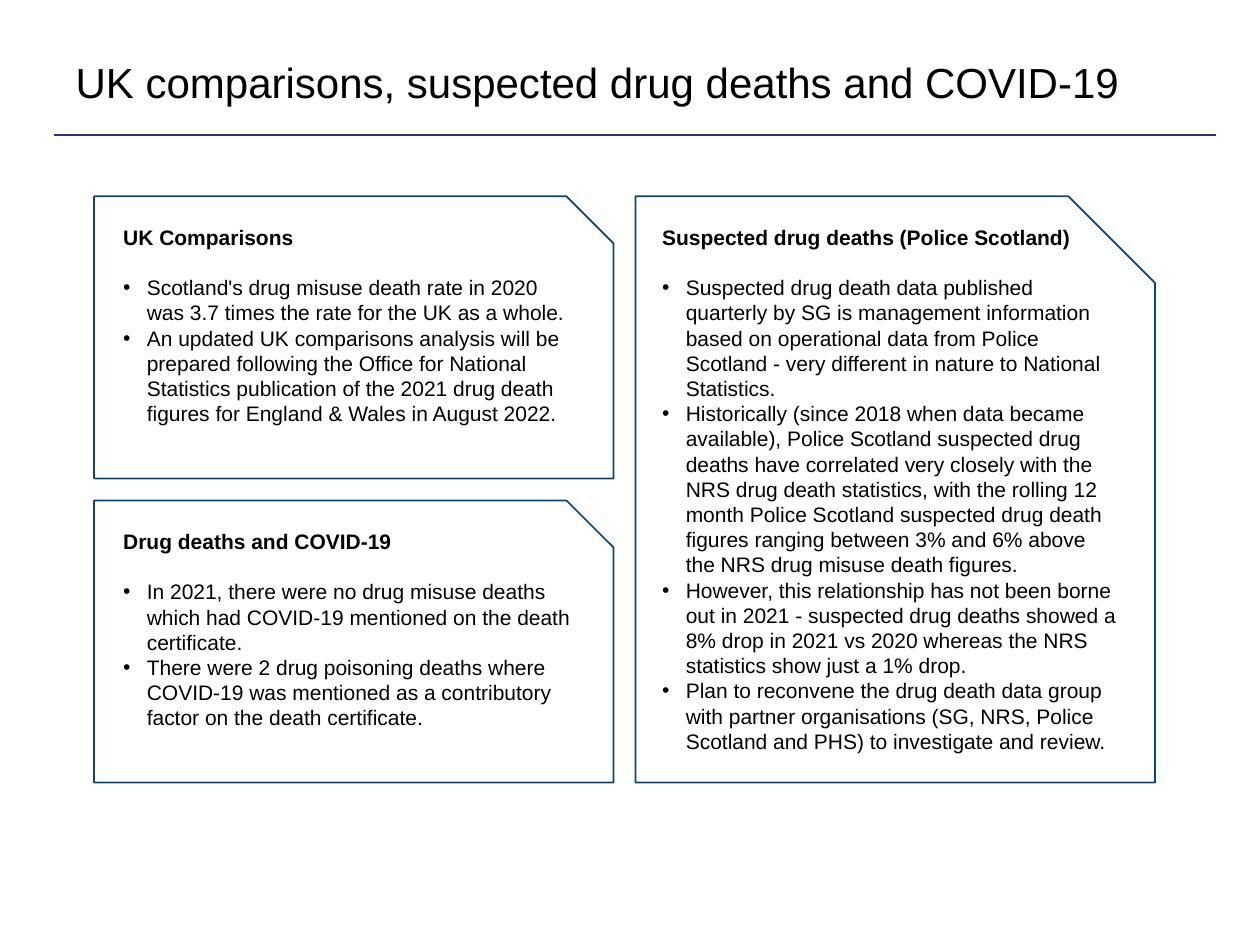
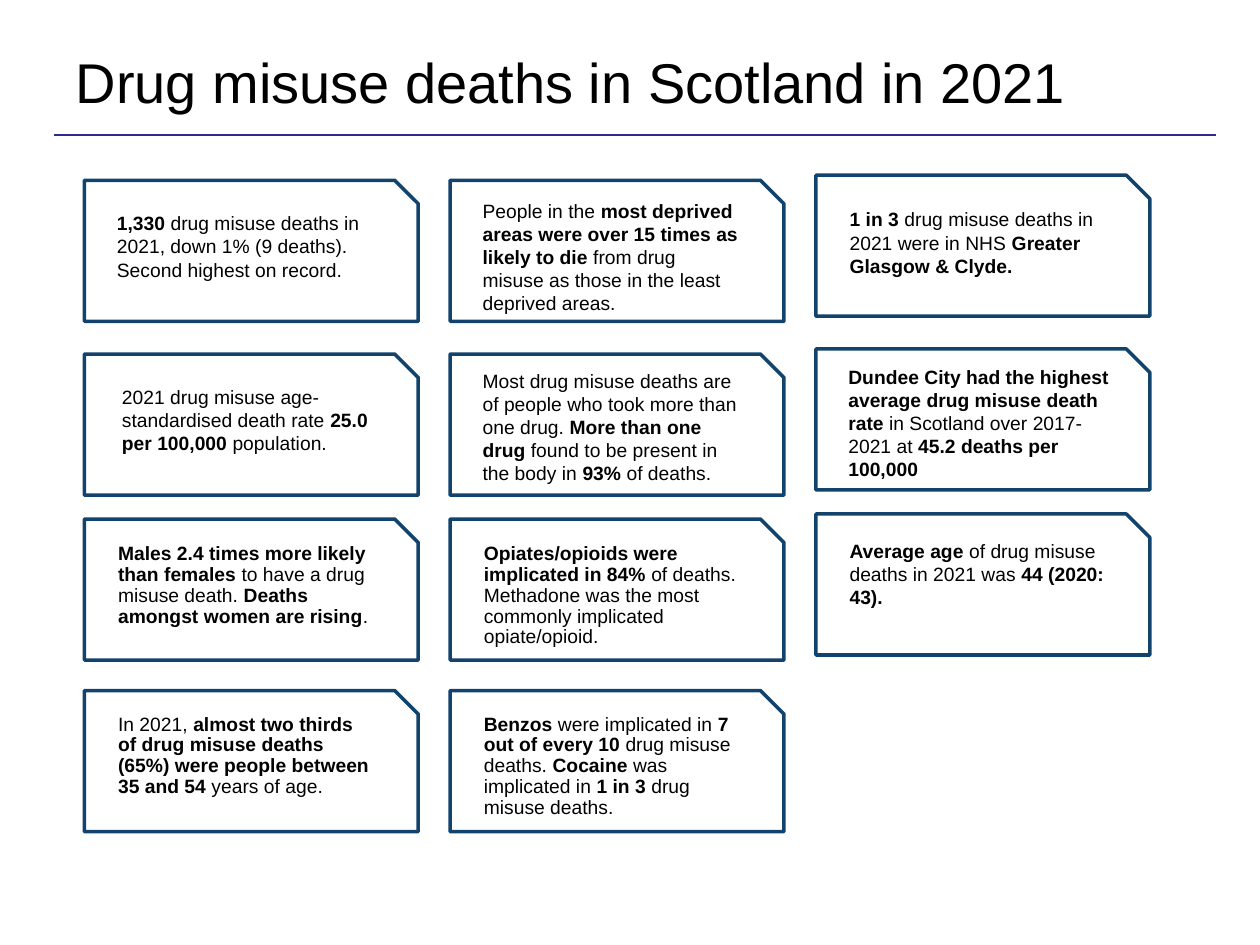
from dataclasses import dataclass

from lxml.etree import SubElement
from pptx import Presentation
from pptx.dml.color import RGBColor
from pptx.enum.shapes import MSO_CONNECTOR, MSO_SHAPE
from pptx.enum.text import MSO_ANCHOR, MSO_AUTO_SIZE, PP_ALIGN
from pptx.oxml.ns import qn
from pptx.util import Pt


@dataclass(frozen=True)
class Theme:
    font: str = "Arial"
    ink: RGBColor = RGBColor(0x00, 0x00, 0x00)
    rule: RGBColor = RGBColor(0x2D, 0x2D, 0x8A)
    outline: RGBColor = RGBColor(0x12, 0x43, 0x6D)
    long_title: int = 24
    short_title: int = 32
    panel_text: int = 12
    card_text: int = 11


class DeckBuilder:
    """Holds the theme and the page being built."""

    def __init__(self, theme):
        self.theme = theme
        self.deck = Presentation()
        self.deck.slide_width, self.deck.slide_height = Pt(720), Pt(540)
        self.page = None

    def add_page(self, layout_name, title, size):
        layout = self.deck.slide_layouts.get_by_name(layout_name)
        self.page = self.deck.slides.add_slide(layout)
        box = self.page.shapes.title
        self.place(box, 36, 21.6, 648, 49.7)
        frame = self.prepare(box, MSO_ANCHOR.MIDDLE)
        frame.text = title
        frame.paragraphs[0].alignment = PP_ALIGN.LEFT
        self.style(frame.paragraphs[0], size)
        self.rule(31, 695, 77)

    def place(self, box, left, top, width, height):
        box.left, box.top = Pt(left), Pt(top)
        box.width, box.height = Pt(width), Pt(height)

    def prepare(self, box, anchor=MSO_ANCHOR.TOP):
        frame = box.text_frame
        frame.word_wrap = True
        frame.auto_size = MSO_AUTO_SIZE.NONE
        frame.vertical_anchor = anchor
        return frame

    def style(self, para, size, bold=None):
        font = para.font
        font.name, font.size, font.bold = self.theme.font, Pt(size), bold
        font.color.rgb = self.theme.ink

    def rule(self, left, right, top):
        line = self.page.shapes.add_connector(
            MSO_CONNECTOR.STRAIGHT, Pt(left), Pt(top), Pt(right), Pt(top))
        line.line.color.rgb = self.theme.rule
        line.line.width = Pt(1)
        SubElement(line._element.spPr, qn("a:effectLst"))

    def snipped_frame(self, left, top, width, height, weight):
        box = self.page.shapes.add_shape(
            MSO_SHAPE.SNIP_1_RECTANGLE, Pt(left), Pt(top), Pt(width), Pt(height))
        box.shadow.inherit = False
        box.fill.background()
        box.line.color.rgb = self.theme.outline
        box.line.width = Pt(weight)

    def bullet(self, para, symbol, indent):
        properties = para._p.get_or_add_pPr()
        properties.set("marL", str(Pt(indent)))
        properties.set("indent", str(-Pt(indent)))
        if symbol:
            SubElement(properties, qn("a:buFont"), typeface=self.theme.font)
            SubElement(properties, qn("a:buChar"), char=symbol)
        else:
            SubElement(properties, qn("a:buNone"))

    def list_panel(self, index, left, top, width, height, heading, points):
        """Fill a body placeholder with a bold heading and a bulleted list."""
        box = self.page.placeholders[index]
        self.place(box, left, top, width, height)
        frame = self.prepare(box)
        frame.text = "\n".join([heading, *points])
        for number, para in enumerate(frame.paragraphs):
            is_heading = number == 0
            para.space_before = Pt(0)
            para.space_after = Pt(14.4 if is_heading else 0)
            self.bullet(para, None if is_heading else "•", 0 if is_heading else 13.5)
            self.style(para, self.theme.panel_text, is_heading)

    def marked_text(self, left, top, width, height, text, spacing):
        """Add a text box; words between double asterisks are bold."""
        box = self.page.shapes.add_textbox(Pt(left), Pt(top), Pt(width), Pt(height))
        para = self.prepare(box).paragraphs[0]
        para.line_spacing = spacing
        self.style(para, self.theme.card_text)
        for number, words in enumerate(text.split("**")):
            if words:
                span = para.add_run()
                span.text = words
                span.font.bold = number % 2 == 1

    def remove_empty_placeholders(self):
        for box in list(self.page.placeholders):
            if not box.text_frame.text:
                box._element.getparent().remove(box._element)


# Panels: column, row, rows spanned, text inset, heading, points
PANELS = [
    (0, 0, 1, 9.4, "UK Comparisons", [
        "Scotland's drug misuse death rate in 2020 was 3.7 times the rate for the UK "
        "as a whole.",
        "An updated UK comparisons analysis will be prepared following the Office for "
        "National Statistics publication of the 2021 drug death figures for England & "
        "Wales in August 2022."]),
    (0, 1, 1, 9.4, "Drug deaths and COVID-19", [
        "In 2021, there were no drug misuse deaths which had COVID-19 mentioned on the "
        "death certificate.",
        "There were 2 drug poisoning deaths where COVID-19 was mentioned as a "
        "contributory factor on the death certificate."]),
    (1, 0, 2, 8, "Suspected drug deaths (Police Scotland)", [
        "Suspected drug death data published quarterly by SG is management information "
        "based on operational data from Police Scotland - very different in nature to "
        "National Statistics.",
        "Historically (since 2018 when data became available), Police Scotland suspected "
        "drug deaths have correlated very closely with the NRS drug death statistics, "
        "with the rolling 12 month Police Scotland suspected drug death figures ranging "
        "between 3% and 6% above the NRS drug misuse death figures.",
        "However, this relationship has not been borne out in 2021 - suspected drug "
        "deaths showed a 8% drop in 2021 vs 2020 whereas the NRS statistics show just a "
        "1% drop.",
        "Plan to reconvene the drug death data group with partner organisations (SG, "
        "NRS, Police Scotland and PHS) to investigate and review."]),
]

# Cards: column, row, text offset across and down, text width, line spacing, text
CARDS = [
    (0, 0, 11.5, 14.4, 162, 1, "**1,330** drug misuse deaths in 2021, down 1% "
     "(9 deaths). Second highest on record."),
    (0, 1, 14.4, 14.4, 162, 1, "2021 drug misuse age-standardised death rate "
     "**25.0 per 100,000** population."),
    (0, 2, 12.2, 10.8, 161, 0.9, "**Males 2.4 times more likely than females **to have "
     "a drug misuse death. **Deaths amongst women are rising**."),
    (0, 3, 12.2, 10.1, 161, 0.9, "In 2021, **almost two thirds of drug misuse deaths "
     "(65%) were people between 35 and 54 **years of age."),
    (1, 0, 11.5, 7.2, 162, 1, "People in the **most deprived areas were over 15 times "
     "as likely to die **from drug misuse as those in the least deprived areas."),
    (1, 1, 11.5, 5, 162, 1, "Most drug misuse deaths are of people who took more than "
     "one drug.** More than one drug **found to be present in the body in **93% **"
     "of deaths."),
    (1, 2, 12.2, 10.8, 161, 0.9, "**Opiates/opioids were implicated in 84% **of deaths. "
     "Methadone was the most commonly implicated opiate/opioid."),
    (1, 3, 12.2, 10.1, 161, 0.9, "**Benzos** were implicated in **7 out of every 10 **"
     "drug misuse deaths. **Cocaine** was implicated in **1 in 3** drug misuse deaths."),
    (2, 0, 12.2, 15.1, 162, 1, "**1 in 3 **drug misuse deaths in 2021 were in NHS"
     "** Greater Glasgow & Clyde.**"),
    (2, 1, 11.5, 5.6, 172, 1, "**Dundee City had the highest average drug misuse death "
     "rate **in Scotland over 2017-2021 at **45.2 deaths per 100,000**"),
    (2, 2, 12.2, 10.8, 161, 1, "**Average age **of drug misuse deaths in 2021 was "
     "**44 (2020: 43).**"),
]


def build_comparisons(builder):
    builder.add_page("Comparison", "UK comparisons, suspected drug deaths and COVID-19",
                     builder.theme.long_title)
    width, height, gap = 296.8, 161.2, 12.6
    for index, (column, row, rows, inset, heading, points) in enumerate(PANELS, 1):
        left = 53.8 + column * (width + gap)
        top = 112.2 + row * (height + gap)
        panel_height = rows * height + (rows - 1) * gap
        builder.list_panel(index, left + inset, top + 12.4, 274.3, panel_height - 23,
                           heading, points)
        builder.snipped_frame(left, top, width, panel_height, 1)
    builder.remove_empty_placeholders()


def build_key_facts(builder):
    builder.add_page("Title Only", "Drug misuse deaths in Scotland in 2021",
                     builder.theme.short_title)
    row_tops = (103, 202.3, 296.6, 394.6)
    last_column_rise = 2.9
    for column, row, across, down, text_width, spacing, text in CARDS:
        left = 48.2 + 209 * column
        top = row_tops[row] - (last_column_rise if column == 2 else 0)
        builder.snipped_frame(left, top, 190.8, 80.6, 2)
        builder.marked_text(left + across, top + down, text_width, 52, text, spacing)


def main():
    builder = DeckBuilder(Theme())
    build_comparisons(builder)
    build_key_facts(builder)
    builder.deck.save("out.pptx")


if __name__ == "__main__":
    main()
